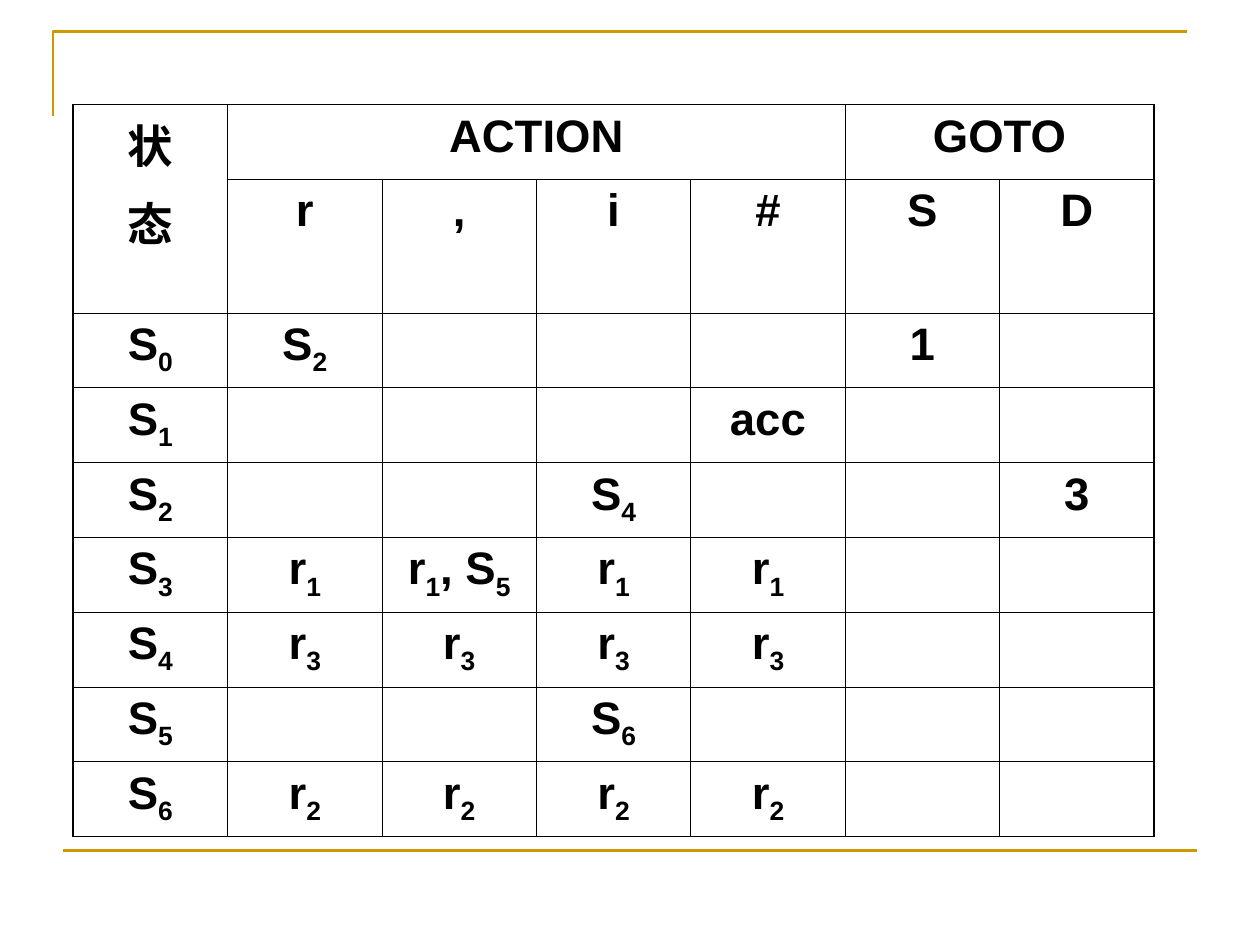
from typing import NamedTuple

from pptx import Presentation
from pptx.dml.color import RGBColor
from pptx.enum.shapes import MSO_CONNECTOR
from pptx.enum.text import PP_ALIGN
from pptx.oxml import parse_xml
from pptx.oxml.ns import nsdecls, qn
from pptx.util import Inches, Pt

GOLD = "CC9900"
BLACK = "000000"
THIN, THICK = 0.45, 1.08
LEFT, TOP, WIDTH, HEIGHT = 0.58, 0.83, 8.58, 5.81
SYMBOL_ROW = 1
SYMBOL_ROW_HEIGHT = 1.06

# An underscore lowers the next character; a line break starts a paragraph
ROWS = [
    ["状\n态", "ACTION", "", "", "", "GOTO", ""],
    ["", "r", ",", "i", "#", "S", "D"],
    ["S_0", "S_2", "", "", "", "1", ""],
    ["S_1", "", "", "", "acc", "", ""],
    ["S_2", "", "", "S_4", "", "", "3"],
    ["S_3", "r_1", "r_1, S_5", "r_1", "r_1", "", ""],
    ["S_4", "r_3", "r_3", "r_3", "r_3", "", ""],
    ["S_5", "", "", "S_6", "", "", ""],
    ["S_6", "r_2", "r_2", "r_2", "r_2", "", ""],
]


class Merge(NamedTuple):
    top: int
    left: int
    bottom: int
    right: int


MERGES = [Merge(0, 0, 1, 0), Merge(0, 1, 0, 4), Merge(0, 5, 0, 6)]


def color(value: str) -> RGBColor:
    return RGBColor.from_string(value)


def style_line(shape) -> None:
    shape.line.color.rgb = color(GOLD)
    shape.line.width = Pt(1.5)


def add_span(para, text: str, lowered: bool = False) -> None:
    span = para.add_run()
    span.text = text
    span.font.name = "Arial"
    span.font.size = Pt(26)
    span.font.bold = True
    span.font.color.rgb = color(BLACK)
    if lowered:
        span.font._element.set("baseline", "-25000")


def write_cell(cell, text: str) -> None:
    frame = cell.text_frame
    for index, line in enumerate(text.split("\n")):
        para = frame.add_paragraph() if index else frame.paragraphs[0]
        para.alignment = PP_ALIGN.CENTER
        if index:
            para.space_before = Pt(6.5)
        base, *lowered_parts = line.split("_")
        if base:
            add_span(para, base)
        for part in lowered_parts:
            add_span(para, part[0], lowered=True)
            if part[1:]:
                add_span(para, part[1:])


def draw_borders(cell, row: int, column: int) -> None:
    outer = {
        "L": column == 0,
        "R": column + cell.span_width == len(ROWS[0]),
        "T": row == 0,
        "B": row + cell.span_height == len(ROWS),
    }
    properties = cell._tc.get_or_add_tcPr()
    for index, (side, is_outer) in enumerate(outer.items()):
        width = Pt(THICK if is_outer else THIN)
        properties.insert(index, parse_xml(
            f'<a:ln{side} {nsdecls("a")} w="{width}"><a:solidFill>'
            f'<a:srgbClr val="{BLACK}"/></a:solidFill></a:ln{side}>'))


def draw_frame(page) -> None:
    # Corner at the top left
    builder = page.shapes.build_freeform(Inches(0.42), Inches(0.92))
    builder.add_line_segments(
        [(Inches(0.42), Inches(0.25)), (Inches(9.42), Inches(0.25))], close=False)
    corner = builder.convert_to_shape()
    corner.shadow.inherit = False
    corner.fill.background()
    style_line(corner)

    # Rule at the foot
    rule = page.shapes.add_connector(
        MSO_CONNECTOR.STRAIGHT, Inches(0.5), Inches(6.75), Inches(9.5), Inches(6.75))
    style_line(rule)
    rule._element.spPr.append(rule._element.makeelement(qn("a:effectLst"), {}))


def draw_parsing_table(page) -> None:
    table = page.shapes.add_table(
        len(ROWS), len(ROWS[0]),
        Inches(LEFT), Inches(TOP), Inches(WIDTH), Inches(HEIGHT)).table
    table.first_row = False
    table.horz_banding = False

    # Equal columns, and equal rows apart from the symbol row
    for column in table.columns:
        column.width = Inches(WIDTH / len(ROWS[0]))
    for row in table.rows:
        row.height = Inches((HEIGHT - SYMBOL_ROW_HEIGHT) / (len(ROWS) - 1))
    table.rows[SYMBOL_ROW].height = Inches(SYMBOL_ROW_HEIGHT)

    for merge in MERGES:
        table.cell(merge.top, merge.left).merge(table.cell(merge.bottom, merge.right))

    for row_index, texts in enumerate(ROWS):
        for column_index, text in enumerate(texts):
            cell = table.cell(row_index, column_index)
            cell.fill.background()
            draw_borders(cell, row_index, column_index)
            write_cell(cell, text)

    # Keeps the two-line heading from stretching the symbol row
    table.cell(0, 0).margin_bottom = Inches(-0.13)


def main() -> None:
    deck = Presentation()
    deck.slide_width, deck.slide_height = Inches(10), Inches(7.5)
    page = deck.slides.add_slide(deck.slide_layouts[6])
    draw_frame(page)
    draw_parsing_table(page)
    deck.save("out.pptx")


if __name__ == "__main__":
    main()
